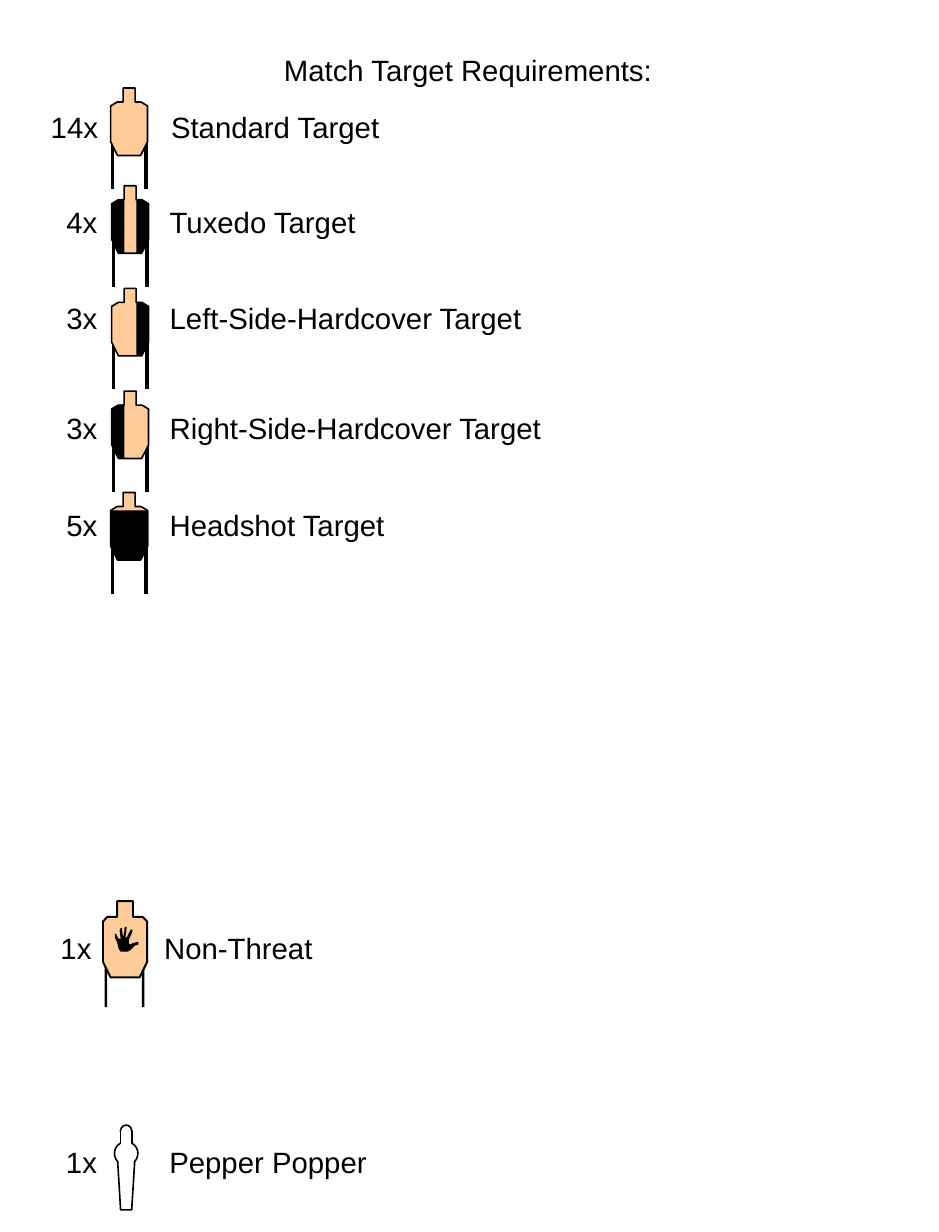
from lxml.etree import SubElement
from pptx import Presentation
from pptx.dml.color import RGBColor
from pptx.enum.shapes import MSO_CONNECTOR as CONNECTOR, MSO_SHAPE as SHAPE
from pptx.enum.text import MSO_ANCHOR as ANCHOR, MSO_AUTO_SIZE as AUTO_SIZE, PP_ALIGN as ALIGN
from pptx.oxml.ns import qn
from pptx.util import Pt

COLORS = {"black": "000000", "white": "FFFFFF", "tan": "FFCC99", "threat_tan": "FDCC99"}


def paint(shape, fill, line=None, width=1):
    shape.shadow.inherit = False
    shape.fill.solid()
    shape.fill.fore_color.rgb = RGBColor.from_string(COLORS[fill])
    if line is None:
        shape.line.fill.background()
    else:
        shape.line.color.rgb = RGBColor.from_string(COLORS[line])
        shape.line.width = Pt(width)


def outline(left, top, points, fill, line=None, width=1):
    corners = [(Pt(left + x), Pt(top + y)) for x, y in points]
    builder = page.shapes.build_freeform(*corners[0])
    builder.add_line_segments(corners[1:], close=True)
    paint(builder.convert_to_shape(), fill, line, width)


deck = Presentation()
deck.slide_width, deck.slide_height = Pt(576), Pt(756)
page = deck.slides.add_slide(deck.slide_layouts[5])

half_body = [(7.6, 0), (7.6, 8.6), (4, 8.6), (0, 11), (0, 33), (4.2, 41.4)]
body = half_body + [(22.6 - x, y) for x, y in reversed(half_body)]
left_cover = [(7.4, 8.6), (7.4, 41), (4.6, 41), (0.6, 33), (0.6, 11.4), (4.6, 8.6)]
right_cover = [(23 - x, y) for x, y in left_cover]
head_cover = [(0, 11.4), (22.8, 11.4), (22.8, 33), (18.2, 41.2), (4.4, 41.2), (0, 33)]

targets = [
    (67.9, 54, []),
    (68.5, 114, [right_cover, left_cover]),
    (68.5, 177, [right_cover]),
    (68.5, 240, [left_cover]),
    (67.9, 302.2, [head_cover]),
]
for left, top, covers in targets:
    for offset in (1.2, 21.5):
        leg = page.shapes.add_connector(
            CONNECTOR.STRAIGHT, Pt(left + offset), Pt(top + 30.8), Pt(left + offset), Pt(top + 62)
        )
        leg.line.color.rgb = RGBColor.from_string(COLORS["black"])
        leg.line.width = Pt(2.25)
        SubElement(leg._element.spPr, qn("a:effectLst"))
    outline(left, top, body, "tan", "black")
    for cover in covers:
        outline(left, top, cover, "black", "black", 0)

for left in (64.2, 87):
    leg = page.shapes.add_shape(SHAPE.RECTANGLE, Pt(left), Pt(587.2), Pt(1.6), Pt(30.8))
    paint(leg, "black")
half_threat = [(8.7, 0), (8.7, 9.6), (2.8, 9.6), (0, 12.4), (0, 37.3), (4.7, 46.8)]
threat = half_threat + [(27.1 - x, y) for x, y in reversed(half_threat)]
outline(63.2, 553, threat, "threat_tan", "black", 1.2)
hand = [
    (9.4, 14.4), (7.9, 15.1), (3.6, 15.1), (2.9, 14.4), (2.2, 13), (1.4, 9.4), (0, 6.5),
    (0, 4.3), (0.7, 4.3), (2.2, 7.2), (3.6, 7.2), (2.9, 2.2), (3.6, 0.7), (4.3, 0.7),
    (5, 6.5), (5.8, 2.9), (5.8, 0.7), (6.5, 0), (7.2, 0), (7.2, 0.7), (6.5, 6.5),
    (7.2, 6.5), (9.4, 2.2), (10.1, 1.4), (10.8, 2.2), (10.8, 2.9), (8.6, 7.9),
    (8.6, 10.1), (9.4, 10.8), (10.8, 10.1), (13, 9.4), (14.4, 9.4), (14.4, 10.8),
    (12.2, 11.5), (10.8, 13),
]
outline(70.5, 568.8, hand, "black")

popper_parts = [
    (SHAPE.OVAL, 73.9, 690.4, 7, 7.4, "black"),
    (SHAPE.OVAL, 70.2, 700.6, 14.4, 14.4, "black"),
    (None, 72.2, 713, 10.4, 29.4, "black"),
    (SHAPE.RECTANGLE, 73.9, 694.2, 7, 7.2, "black"),
    (SHAPE.RECTANGLE, 72.8, 712, 9.2, 1.6, None),
    (SHAPE.RECTANGLE, 74.9, 700.6, 5, 1.4, "white"),
    (SHAPE.RECTANGLE, 74.9, 693.6, 5, 0.7, "white"),
]
for kind, left, top, width, height, line in popper_parts:
    if kind is None:
        stem = [(0, 0), (width, 0), (width - 1.8, height), (1.8, height)]
        outline(left, top, stem, "white", line)
    else:
        part = page.shapes.add_shape(kind, Pt(left), Pt(top), Pt(width), Pt(height))
        paint(part, "white", line)

labels = [
    ("Match Target Requirements:", 167, 28.4, 243, None),
    ("14x\tStandard Target", 24, 63.6, 228, 73.8),
    ("4x\tTuxedo Target", 33.6, 121.8, 194, 63.4),
    ("3x\tLeft-Side-Hardcover Target", 33.6, 180.6, 297, 63.4),
    ("3x\tRight-Side-Hardcover Target", 33.6, 248.2, 309, 63.4),
    ("5x\tHeadshot Target", 33.6, 307.6, 212, 63.4),
    ("1x\tNon-Threat", 30, 567.4, 171, 63.6),
    ("1x\tPepper Popper", 33.4, 698.8, 202, 63.4),
]
frame_format = {"word_wrap": True, "auto_size": AUTO_SIZE.NONE, "vertical_anchor": ANCHOR.TOP}
font_format = {"name": "Arial", "size": Pt(18), "bold": False}
for text, left, top, width, tab in labels:
    place = {"left": Pt(left), "top": Pt(top), "width": Pt(width), "height": Pt(29)}
    box = page.shapes.title if tab is None else page.shapes.add_textbox(*place.values())
    for name, value in place.items():
        setattr(box, name, value)
    for name, value in frame_format.items():
        setattr(box.text_frame, name, value)
    para = box.text_frame.paragraphs[0]
    para.alignment = ALIGN.LEFT
    if tab is not None:
        stops = SubElement(para._p.get_or_add_pPr(), qn("a:tabLst"))
        SubElement(stops, qn("a:tab"), pos=str(Pt(tab)), algn="l")
    span = para.add_run()
    span.text = text
    for name, value in font_format.items():
        setattr(span.font, name, value)
    span.font.color.rgb = RGBColor.from_string(COLORS["black"])

deck.save("out.pptx")
